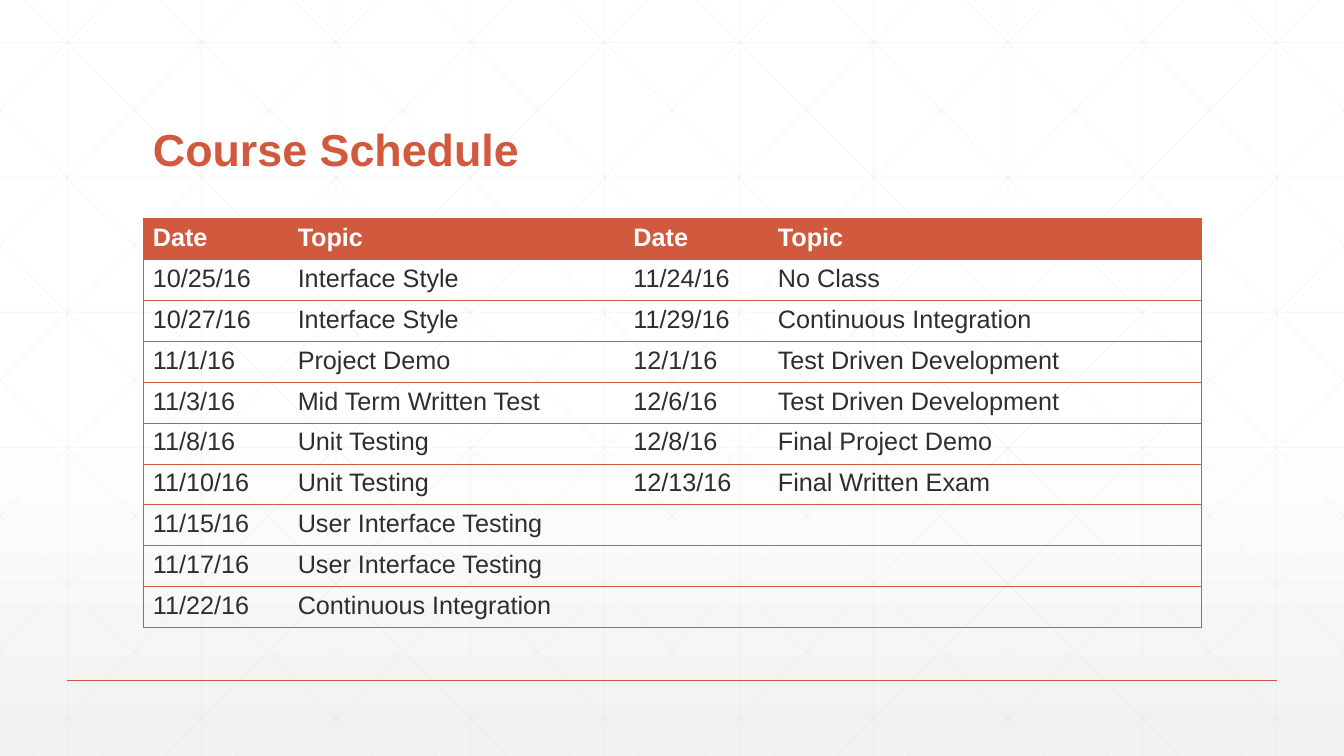
from lxml.etree import SubElement
from pptx import Presentation
from pptx.dml.color import RGBColor
from pptx.enum.shapes import MSO_CONNECTOR as Connector
from pptx.enum.text import MSO_ANCHOR as Anchor, PP_ALIGN as Align
from pptx.oxml import parse_xml
from pptx.oxml.ns import nsdecls, qn
from pptx.util import Cm, Pt

COLORS = {
    "accent": "D15A3E",
    "text": "2D2E2D",
    "white": "FFFFFF",
    "shade": "F2F2F2",
    "grid": "D9D9D9",
}
FONT = "Arial"
WIDTH, HEIGHT = 33.87, 19.05
GRID_STEP = WIDTH / 10
DIAGONAL_START, DIAGONAL_RUN = 0.63, 18.93
COLUMN_WIDTHS = (3.65, 8.46, 3.64, 10.93)
ROW_HEIGHT = 1.03

SCHEDULE = [
    ("Date", "Topic", "Date", "Topic"),
    ("10/25/16", "Interface Style", "11/24/16", "No Class"),
    ("10/27/16", "Interface Style", "11/29/16", "Continuous Integration"),
    ("11/1/16", "Project Demo", "12/1/16", "Test Driven Development"),
    ("11/3/16", "Mid Term Written Test", "12/6/16", "Test Driven Development"),
    ("11/8/16", "Unit Testing", "12/8/16", "Final Project Demo"),
    ("11/10/16", "Unit Testing", "12/13/16", "Final Written Exam"),
    ("11/15/16", "User Interface Testing", "", ""),
    ("11/17/16", "User Interface Testing", "", ""),
    ("11/22/16", "Continuous Integration", "", ""),
]


def rgb(name):
    return RGBColor.from_string(COLORS[name])


def add_span(para, text, size, color, bold=False):
    span = para.add_run()
    span.text = text
    span.font.name = FONT
    span.font.size = Pt(size)
    span.font.bold = bold
    span.font.color.rgb = rgb(color)


def add_line(shapes, start, end, color, width, opacity=100):
    """Draw a straight line between two (x, y) points in centimetres."""
    line = shapes.add_connector(Connector.STRAIGHT, *map(Cm, start + end))
    line.line.color.rgb = rgb(color)
    line.line.width = Pt(width)
    properties = line._element.spPr
    if opacity < 100:
        fill_color = next(properties.iter(qn("a:srgbClr")))
        SubElement(fill_color, qn("a:alpha"), val=str(opacity * 1000))
    SubElement(properties, qn("a:effectLst"))


def shade_background(page):
    fill = page.background.fill
    fill.gradient()
    fill.gradient_angle = 270
    stops = (("white", 0.53), ("shade", 1))
    for stop, (color, position) in zip(fill.gradient_stops, stops):
        stop.color.rgb = rgb(color)
        stop.position = position


def diagonal(index):
    """Return the ends of one falling diagonal, clipped to the slide."""
    top_x = DIAGONAL_START + index * GRID_STEP
    slope = HEIGHT / DIAGONAL_RUN
    left, right = max(0, top_x), min(WIDTH, top_x + DIAGONAL_RUN)
    return (left, (left - top_x) * slope), (right, (right - top_x) * slope)


def add_grid(page):
    lines = []
    for column in range(10):
        x = (column + 0.5) * GRID_STEP
        lines.append(((x, 0), (x, HEIGHT)))
    for row in range(6):
        y = 1.07 + row * 3.4
        lines.append(((0, y), (WIDTH, y)))
    for index in range(-5, 10):
        falling = diagonal(index)
        lines.append(falling)
        lines.append(tuple((WIDTH - x, y) for x, y in falling))
    group = page.shapes.add_group_shape()
    for start, end in lines:
        add_line(group.shapes, start, end, "grid", 0.5, opacity=25)


def set_title(page, text):
    title = page.shapes.title
    title.left, title.top = Cm(3.6), Cm(1.4)
    title.width, title.height = Cm(26.67), Cm(3.18)
    page.shapes._spTree.append(title._element)
    title.text_frame.vertical_anchor = Anchor.BOTTOM
    para = title.text_frame.paragraphs[0]
    para.alignment = Align.LEFT
    para.line_spacing = 0.9
    add_span(para, text, 32, "accent", bold=True)


def set_borders(cell, sides):
    """Draw the given sides of a cell and clear the others."""
    properties = cell._tc.get_or_add_tcPr()
    for index, side in enumerate("LRTB"):
        paint = "<a:noFill/>"
        if side in sides:
            paint = f'<a:solidFill><a:srgbClr val="{COLORS["accent"]}"/></a:solidFill>'
        border = f'<a:ln{side} {nsdecls("a")} w="{Pt(0.5)}">{paint}</a:ln{side}>'
        properties.insert(index, parse_xml(border))


def fill_cell(cell, text, is_header):
    if is_header:
        cell.fill.solid()
        cell.fill.fore_color.rgb = rgb("accent")
    else:
        cell.fill.background()
    if text:
        color = "white" if is_header else "text"
        add_span(cell.text_frame.paragraphs[0], text, 18, color, bold=is_header)


def add_schedule(page):
    last = len(COLUMN_WIDTHS) - 1
    frame = page.shapes.add_table(
        len(SCHEDULE), len(COLUMN_WIDTHS), Cm(3.6), Cm(5.51),
        Cm(sum(COLUMN_WIDTHS)), Cm(ROW_HEIGHT * len(SCHEDULE)))
    table = frame.table
    table.horz_banding = False
    for column, width in zip(table.columns, COLUMN_WIDTHS):
        column.width = Cm(width)
    for row_index, texts in enumerate(SCHEDULE):
        table.rows[row_index].height = Cm(ROW_HEIGHT)
        for column_index, text in enumerate(texts):
            cell = table.cell(row_index, column_index)
            outer_side = {0: "L", last: "R"}.get(column_index, "")
            set_borders(cell, "TB" + outer_side)
            fill_cell(cell, text, row_index == 0)


def main():
    deck = Presentation()
    deck.slide_width, deck.slide_height = Cm(WIDTH), Cm(HEIGHT)
    page = deck.slides.add_slide(deck.slide_layouts[5])
    shade_background(page)
    add_grid(page)
    add_line(page.shapes, (1.69, 17.15), (32.18, 17.15), "accent", 1)
    set_title(page, "Course Schedule")
    add_schedule(page)
    deck.save("out.pptx")


if __name__ == "__main__":
    main()
